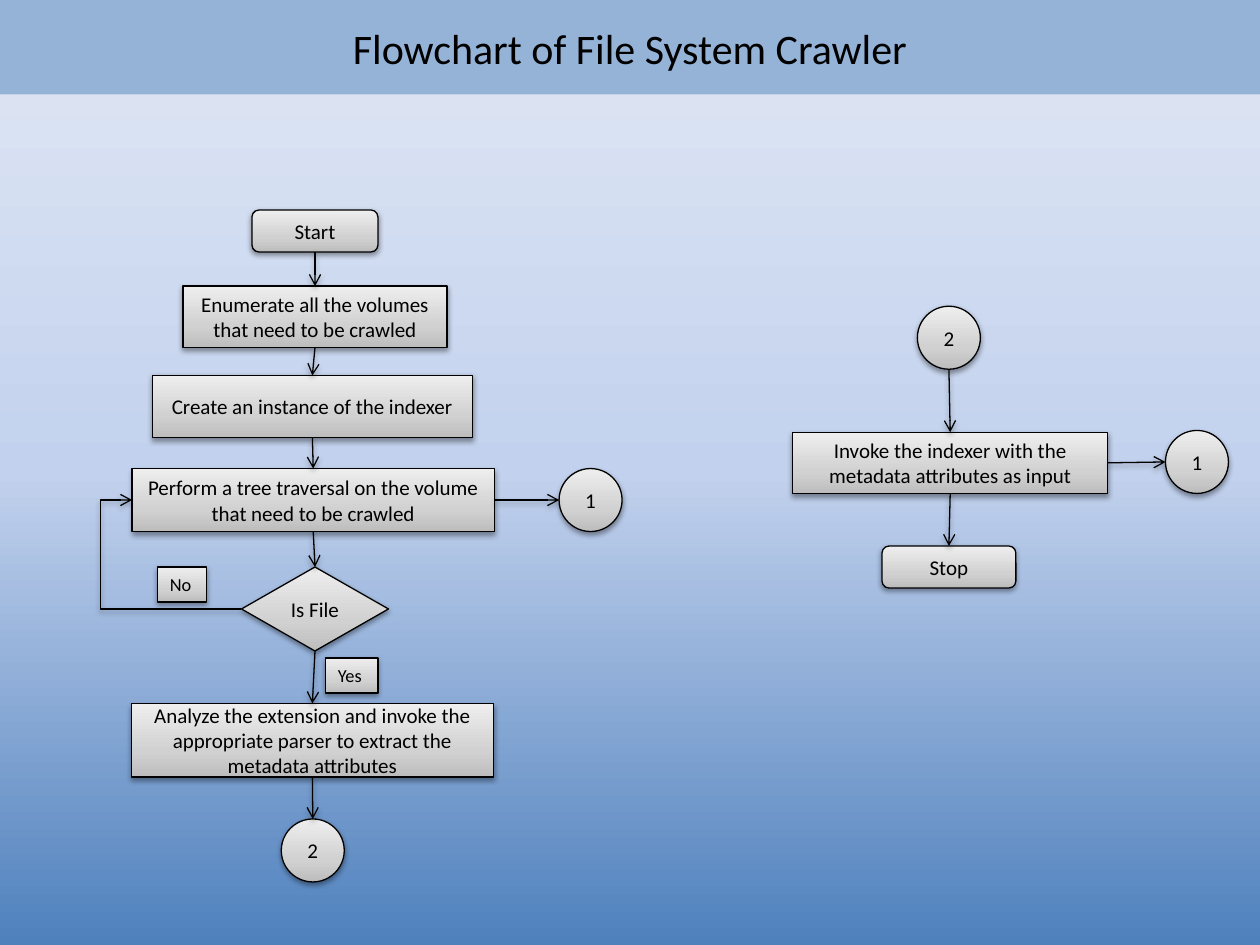
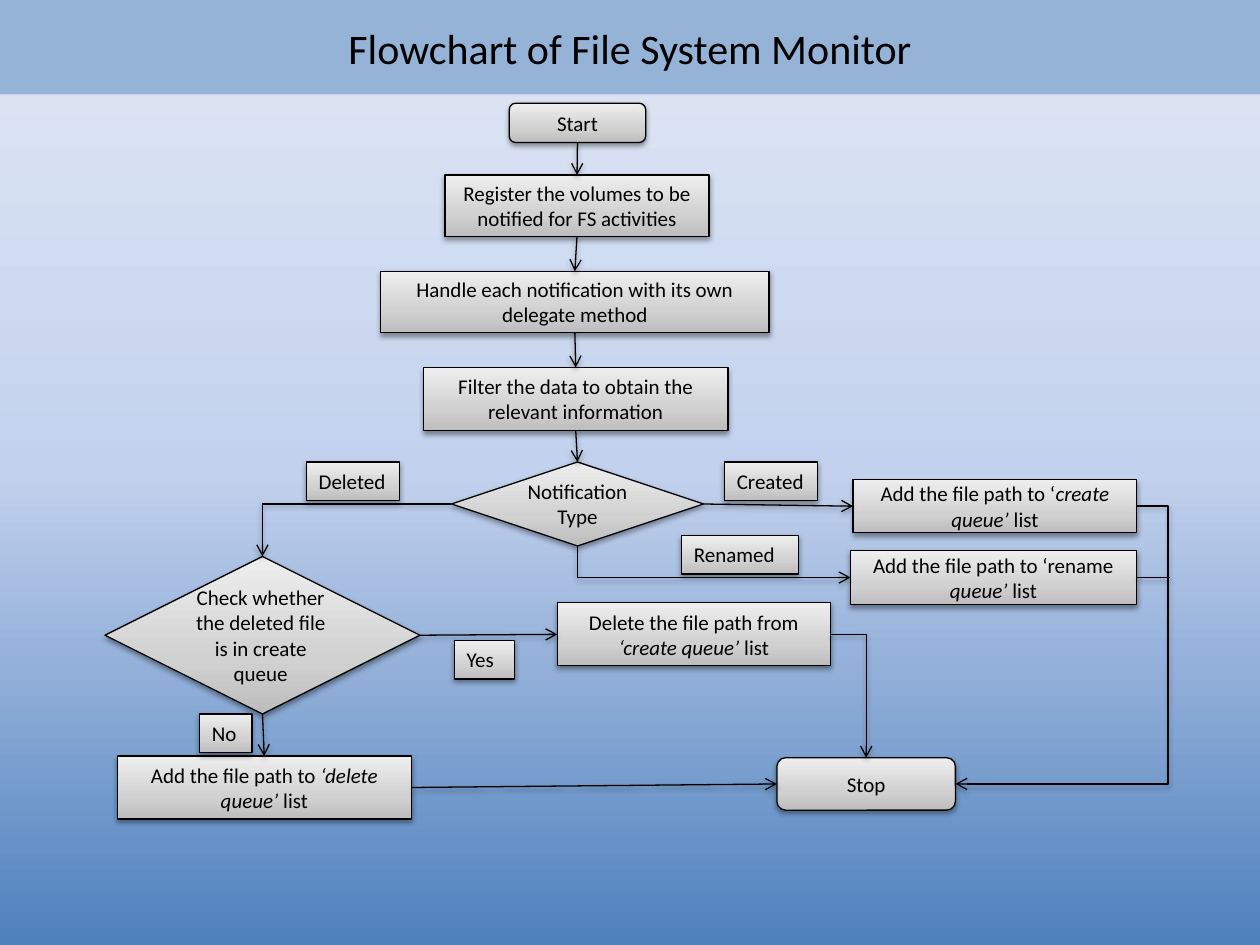
from collections import namedtuple
from dataclasses import dataclass
from itertools import pairwise

from lxml.etree import SubElement
from pptx import Presentation
from pptx.dml.color import RGBColor
from pptx.enum.shapes import MSO_CONNECTOR as Line, MSO_SHAPE as Shape
from pptx.enum.text import MSO_ANCHOR as Anchor, PP_ALIGN as Align
from pptx.oxml.ns import qn
from pptx.util import Pt

Box = namedtuple("Box", "left top width height")
TOP, LEFT, BOTTOM, RIGHT = range(4)


@dataclass(frozen=True)
class Theme:
    font: str = "Calibri"
    ink: str = "000000"
    band: str = "95B3D7"
    backdrop: tuple = ((0, "4F81BD"), (50, "C2D1ED"), (100, "E1E8F5"))
    metal: tuple = ((0, "BDBDBD"), (35, "D1D1D1"), (100, "EEEEEE"))
    title_size: float = 24
    step_size: float = 12
    small_size: float = 10.5
    line_width: float = 0.75
    shadow_blur: float = 3.1
    shadow_drop: float = 1.6
    shadow_alpha: int = 38


THEME = Theme()


def rgb(code):
    return RGBColor.from_string(code)


def paint_gradient(owner, fill, stops):
    fill.gradient()
    fill.gradient_angle = 90
    stop_list = owner.element.find(".//" + qn("a:gsLst"))
    stop_list.clear()
    for percent, code in stops:
        stop = SubElement(stop_list, qn("a:gs"), pos=str(percent * 1000))
        SubElement(stop, qn("a:srgbClr"), val=code)


def outline_with_shadow(sp):
    sp.line.color.rgb = rgb(THEME.ink)
    sp.line.width = Pt(THEME.line_width)
    effects = SubElement(sp.element.spPr, qn("a:effectLst"))
    shadow = SubElement(effects, qn("a:outerShdw"), blurRad=str(Pt(THEME.shadow_blur)),
                        dist=str(Pt(THEME.shadow_drop)), dir="5400000", rotWithShape="0")
    color = SubElement(shadow, qn("a:srgbClr"), val=THEME.ink)
    SubElement(color, qn("a:alpha"), val=str(THEME.shadow_alpha * 1000))


def write(sp, text, size, align=Align.CENTER, anchor=Anchor.MIDDLE):
    tf = sp.text_frame
    tf.word_wrap = True
    tf.vertical_anchor = anchor
    p = tf.paragraphs[0]
    p.alignment = align
    for i, part in enumerate(text.split("*")):
        r = p.add_run()
        r.text = part
        r.font.name = THEME.font
        r.font.size = Pt(size)
        r.font.color.rgb = rgb(THEME.ink)
        if i % 2:
            r.font.italic = True


def add_block(slide, kind, left, top, width, height):
    sp = slide.shapes.add_shape(kind, Pt(left), Pt(top), Pt(width), Pt(height))
    paint_gradient(sp, sp.fill, THEME.metal)
    outline_with_shadow(sp)
    return sp


def add_step(slide, box, kind, center, top, width, height, text):
    sp = add_block(slide, kind, box.left + center - width / 2, box.top + top, width, height)
    write(sp, text, THEME.step_size)
    return sp


def add_label(slide, box, left, top, width, height, text, size=THEME.step_size):
    sp = add_block(slide, Shape.RECTANGLE, box.left + left, box.top + top, width, height)
    write(sp, text, size, Align.LEFT, Anchor.TOP)
    sp.text_frame.margin_right = 0


def side_middle(sp, side):
    x, y = {TOP: (0.5, 0), LEFT: (0, 0.5), BOTTOM: (0.5, 1), RIGHT: (1, 0.5)}[side]
    return int(sp.left + sp.width * x), int(sp.top + sp.height * y)


def can_join(sp, side):
    return side == TOP or sp.auto_shape_type != Shape.FLOWCHART_CONNECTOR


def add_arrowhead(c):
    SubElement(c.element.spPr.find(qn("a:ln")), qn("a:tailEnd"), type="arrow")


def link(slide, start, start_side, end, end_side, kind=Line.STRAIGHT):
    c = slide.shapes.add_connector(kind, *side_middle(start, start_side),
                                   *side_middle(end, end_side))
    if can_join(start, start_side):
        c.begin_connect(start, start_side)
    if can_join(end, end_side):
        c.end_connect(end, end_side)
    outline_with_shadow(c)
    add_arrowhead(c)
    return c


def link_corner(slide, start, start_side, end, end_side):
    c = link(slide, start, start_side, end, end_side, Line.ELBOW)
    c.element.spPr.find(qn("a:prstGeom")).set("prst", "bentConnector2")
    if start_side == BOTTOM:
        across, down = c.width, c.height
        c.left += (across - down) // 2
        c.top += (down - across) // 2
        c.width, c.height = down, across
        xfrm = c.element.spPr.find(qn("a:xfrm"))
        xfrm.set("rot", "16200000")
        xfrm.set("flipH", "1")


def link_around(slide, start, start_side, end, end_side, lane):
    c = link(slide, start, start_side, end, end_side, Line.ELBOW)
    share = (c.begin_x - Pt(lane)) / (c.begin_x - c.end_x)
    guides = c.element.spPr.find(qn("a:prstGeom")).find(qn("a:avLst"))
    SubElement(guides, qn("a:gd"), name="adj1", fmla=f"val {round(share * 100000)}")


def add_chain(slide, box, steps):
    chain = [add_step(slide, box, *step) for step in steps]
    for upper, lower in pairwise(chain):
        link(slide, upper, BOTTOM, lower, TOP)
    return chain


def add_titled_slide(prs, title):
    slide = prs.slides.add_slide(prs.slide_layouts[5])
    sp = slide.shapes.title
    sp.left, sp.top, sp.width, sp.height = 0, 0, prs.slide_width, Pt(54)
    sp.fill.solid()
    sp.fill.fore_color.rgb = rgb(THEME.band)
    write(sp, title, THEME.title_size)
    return slide


def crawl_column(slide, box):
    chain = add_chain(slide, box, [
        (Shape.ROUNDED_RECTANGLE, 126, 0, 72, 24, "Start"),
        (Shape.RECTANGLE, 126, 43.5, 151, 35, "Enumerate all the volumes that need to be crawled"),
        (Shape.RECTANGLE, 124.5, 94.5, 183, 35.5, "Create an instance of the indexer"),
        (Shape.RECTANGLE, 125, 147.75, 207, 36,
         "Perform a tree traversal on the volume that need to be crawled"),
        (Shape.DIAMOND, 126, 204, 84, 48, "Is File"),
        (Shape.RECTANGLE, 124.5, 282, 207, 42,
         "Analyze the extension and invoke the appropriate parser to extract the metadata attributes"),
        (Shape.FLOWCHART_CONNECTOR, 124.75, 348, 36, 36, "2"),
    ])
    traversal, is_file = chain[3:5]
    exit_one = add_step(slide, box, Shape.FLOWCHART_CONNECTOR, 283.5, 147.75, 36, 36, "1")
    link(slide, traversal, RIGHT, exit_one, LEFT)
    link_around(slide, is_file, LEFT, traversal, LEFT, box.left + 3.6)
    add_label(slide, box, 36, 204, 28, 20, "No", THEME.small_size)
    add_label(slide, box, 132, 256, 30, 20, "Yes", THEME.small_size)


def index_column(slide, box):
    chain = add_chain(slide, box, [
        (Shape.FLOWCHART_CONNECTOR, 92.25, 1, 36, 36, "2"),
        (Shape.RECTANGLE, 93, 73, 180, 35, "Invoke the indexer with the metadata attributes as input"),
        (Shape.ROUNDED_RECTANGLE, 92.25, 138, 76.5, 24, "Stop"),
    ])
    exit_one = add_step(slide, box, Shape.FLOWCHART_CONNECTOR, 234, 72, 36, 36, "1")
    link(slide, chain[1], RIGHT, exit_one, LEFT)


def notification_column(slide, box):
    return add_chain(slide, box, [
        (Shape.ROUNDED_RECTANGLE, 114, 0, 78, 22.5, "Start"),
        (Shape.RECTANGLE, 113.75, 41, 151, 35, "Register the volumes to be notified for FS activities"),
        (Shape.RECTANGLE, 112.5, 96, 222, 35,
         "Handle each notification with its own delegate method"),
        (Shape.RECTANGLE, 113, 151, 174, 36, "Filter the data to obtain the relevant information"),
        (Shape.FLOWCHART_DECISION, 114, 205, 144, 48, "Notification Type"),
    ])[-1]


def queue_branch(slide, box, decision, stop):
    create = add_step(slide, box, Shape.RECTANGLE, 179, 10, 162, 30.5,
                      "Add the file path to ‘*create queue’* list")
    rename = add_step(slide, box, Shape.RECTANGLE, 178.25, 50.5, 163.5, 31,
                      "Add the file path to ‘rename* queue’* list")
    link(slide, decision, RIGHT, create, LEFT)
    link_corner(slide, decision, BOTTOM, rename, LEFT)
    lane = box.left + box.width
    link_around(slide, create, RIGHT, stop, RIGHT, lane)
    x, y = side_middle(rename, RIGHT)
    merge = slide.shapes.add_connector(Line.STRAIGHT, x, y, Pt(lane + 1), y)
    merge.begin_connect(rename, RIGHT)
    outline_with_shadow(merge)
    add_label(slide, box, 24.5, 0, 53.3, 22, "Created")
    add_label(slide, box, 0, 42, 67, 22, "Renamed")


def deletion_branch(slide, box, decision, stop):
    check = add_step(slide, box, Shape.DIAMOND, 90, 54, 180, 90,
                     "Check whether the deleted file is in create queue")
    check.text_frame.margin_right = Pt(9)
    remove = add_step(slide, box, Shape.RECTANGLE, 336.5, 80.5, 156, 36,
                      "Delete the file path from *‘create queue’ *list")
    add = add_step(slide, box, Shape.RECTANGLE, 91, 168, 168, 36,
                   "Add the file path to *‘delete queue’ *list")
    link_corner(slide, decision, LEFT, check, TOP)
    link(slide, check, RIGHT, remove, LEFT)
    link(slide, check, BOTTOM, add, TOP)
    link_corner(slide, remove, RIGHT, stop, TOP)
    link(slide, add, RIGHT, stop, LEFT)
    add_label(slide, box, 115, 0, 53.3, 22, "Deleted")
    add_label(slide, box, 199.5, 102, 34.5, 22, "Yes")
    add_label(slide, box, 54, 144, 30, 22, "No")


def main():
    prs = Presentation()
    prs.slide_width, prs.slide_height = Pt(720), Pt(540)
    master = prs.slide_master
    paint_gradient(master, master.background.fill, THEME.backdrop)

    crawler = add_titled_slide(prs, "Flowchart of File System Crawler")
    crawl_column(crawler, Box(54, 120, 302, 384))
    index_column(crawler, Box(450, 174, 252, 162))

    monitor = add_titled_slide(prs, "Flowchart of File System Monitor")
    decision = notification_column(monitor, Box(216, 59, 225, 253))
    stop = add_step(monitor, Box(444, 433, 102, 30), Shape.ROUNDED_RECTANGLE,
                    51, 0, 102, 30, "Stop")
    queue_branch(monitor, Box(389.5, 264, 278, 82), decision, stop)
    deletion_branch(monitor, Box(60, 264, 415, 204), decision, stop)

    prs.save("out.pptx")


if __name__ == "__main__":
    main()
